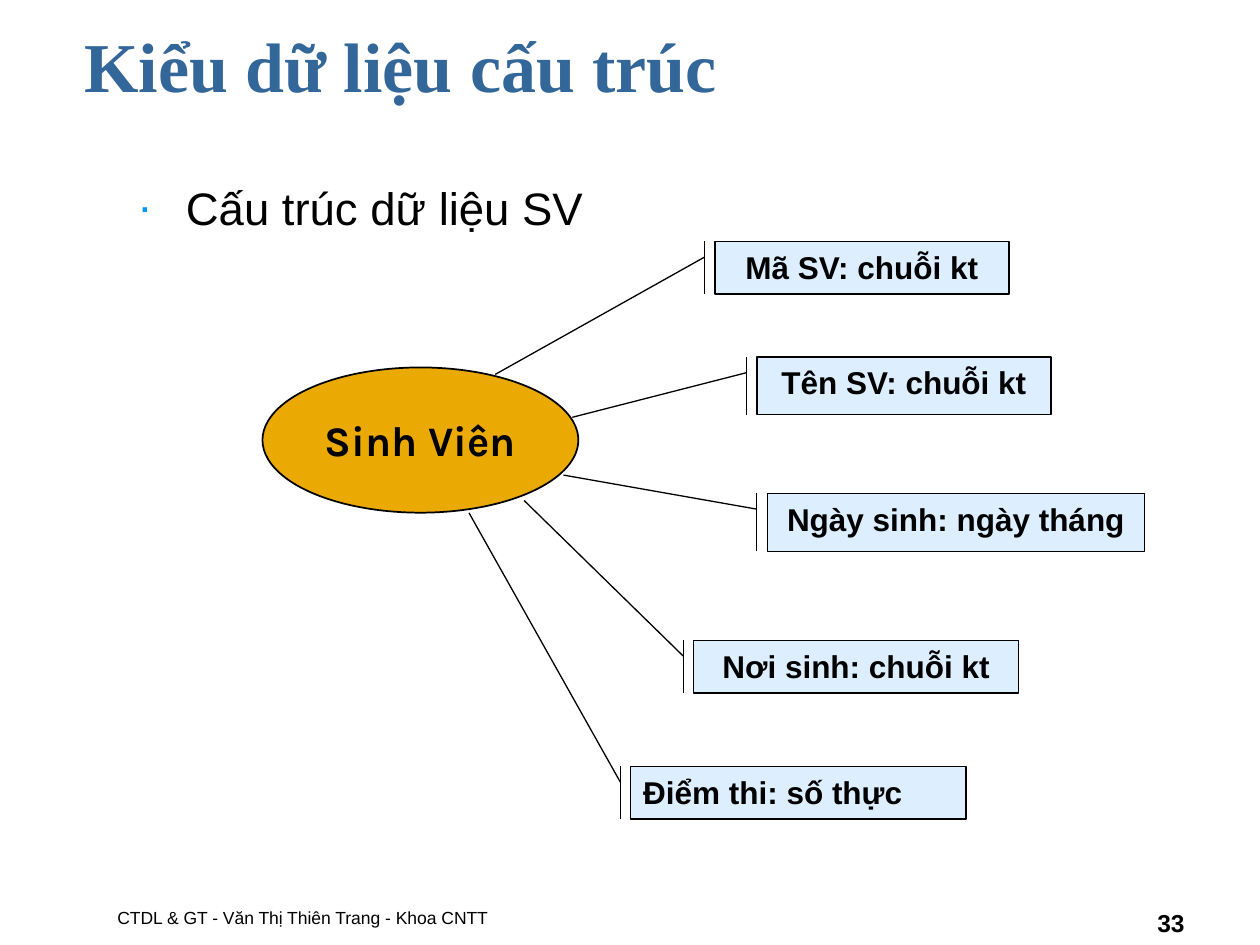
from lxml.etree import SubElement
from pptx import Presentation
from pptx.dml.color import RGBColor
from pptx.enum.shapes import MSO_SHAPE
from pptx.enum.text import MSO_ANCHOR, MSO_AUTO_SIZE, PP_ALIGN
from pptx.oxml.ns import qn
from pptx.util import Pt

COLORS = {
    "title": "336699",
    "text": "000000",
    "bullet": "0099FF",
    "field": "99CCFF",
    "record": "EBA903",
}


class SlideBuilder:
    bar_gap = 6
    bar_drop = 9
    field_alpha = 33

    def __init__(self, prs):
        self.s = prs.slides.add_slide(prs.slide_layouts[1])

    def color(self, name):
        return RGBColor.from_string(COLORS[name])

    def place(self, sp, box):
        for name, value in zip(("left", "top", "width", "height"), box):
            setattr(sp, name, Pt(value))

    def add_text(self, sp, text, size, font="Arial", bold=False, color="text",
                 align=PP_ALIGN.LEFT, anchor=MSO_ANCHOR.TOP):
        tf = sp.text_frame
        frame = {
            "word_wrap": True, "auto_size": MSO_AUTO_SIZE.NONE,
            "vertical_anchor": anchor,
            "margin_left": Pt(7.2), "margin_right": Pt(7.2),
            "margin_top": Pt(3.6), "margin_bottom": Pt(3.6),
        }
        for name, value in frame.items():
            setattr(tf, name, value)
        p = tf.paragraphs[0]
        p.alignment = align
        p.space_before = Pt(0)
        r = p.add_run()
        r.text = text
        for name, value in {"name": font, "size": Pt(size), "bold": bold}.items():
            setattr(r.font, name, value)
        r.font.color.rgb = self.color(color)
        return p

    def title(self, text, box):
        sp = self.s.shapes.title
        self.place(sp, box)
        self.add_text(sp, text, 40, "Times New Roman", True, "title",
                      anchor=MSO_ANCHOR.MIDDLE)

    def body(self, text, box):
        sp = self.s.placeholders[1]
        self.place(sp, box)
        p = self.add_text(sp, text, 26, align=PP_ALIGN.JUSTIFY)
        pPr = p._p.get_or_add_pPr()
        pPr.set("marL", str(Pt(27)))
        pPr.set("indent", str(-Pt(27)))
        clr = SubElement(pPr, qn("a:buClr"))
        SubElement(clr, qn("a:srgbClr"), val=COLORS["bullet"])
        SubElement(pPr, qn("a:buFont"), typeface="Arial")
        SubElement(pPr, qn("a:buChar"), char="∙")

    def label(self, text, box, size, **style):
        sp = self.s.shapes.add_textbox(*map(Pt, box))
        self.add_text(sp, text, size, anchor=MSO_ANCHOR.BOTTOM, **style)

    def shape(self, kind, box, fill, line_width):
        sp = self.s.shapes.add_shape(kind, *map(Pt, box))
        sp.shadow.inherit = False
        sp.fill.solid()
        sp.fill.fore_color.rgb = self.color(fill)
        sp.line.color.rgb = self.color("text")
        sp.line.width = Pt(line_width)
        return sp

    def record(self, text, box):
        sp = self.shape(MSO_SHAPE.OVAL, box, "record", 1)
        self.add_text(sp, text, 24, "Karla", True, align=PP_ALIGN.CENTER,
                      anchor=MSO_ANCHOR.MIDDLE)

    def field(self, text, box, tip, align=PP_ALIGN.CENTER):
        x, y, w, h = box
        kind = MSO_SHAPE.LINE_CALLOUT_1_BORDER_AND_ACCENT_BAR
        sp = self.shape(kind, box, "field", 0.75)
        clr = sp._element.spPr.find(qn("a:solidFill"))[0]
        SubElement(clr, qn("a:alpha"), val=str(self.field_alpha * 1000))
        ratios = (self.bar_drop / h, -self.bar_gap / w,
                  (tip[1] - y) / h, (tip[0] - x) / w)
        for i, ratio in enumerate(ratios):
            sp.adjustments[i] = ratio
        self.add_text(sp, text, 18, bold=True, align=align)


def main():
    prs = Presentation()
    prs.slide_width, prs.slide_height = Pt(720), Pt(540)
    b = SlideBuilder(prs)
    b.title("Kiểu dữ liệu cấu trúc", (41, 4.5, 648, 64.5))
    b.body("Cấu trúc dữ liệu SV", (72, 99, 618, 378))
    b.label("CTDL & GT - Văn Thị Thiên Trang - Khoa CNTT", (60, 498, 438, 36), 10)
    b.label("33", (516, 503, 168, 36), 14, bold=True, align=PP_ALIGN.RIGHT)

    fields = [
        ("Mã SV: chuỗi kt", (408.5, 138, 168, 30), (283, 214)),
        ("Tên SV: chuỗi kt", (432.5, 204, 168, 33), (327, 238.5)),
        ("Ngày sinh: ngày tháng", (438.5, 282, 215.5, 33), (322, 271.5)),
        ("Nơi sinh: chuỗi kt", (396.5, 366, 185.5, 30), (299.5, 286)),
        ("Điểm thi: số thực", (360.5, 438, 191.5, 30), (268, 293), PP_ALIGN.LEFT),
    ]
    for field in fields:
        b.field(*field)
    b.record("Sinh Viên", (150, 210, 180.5, 83))
    prs.save("out.pptx")


if __name__ == "__main__":
    main()
